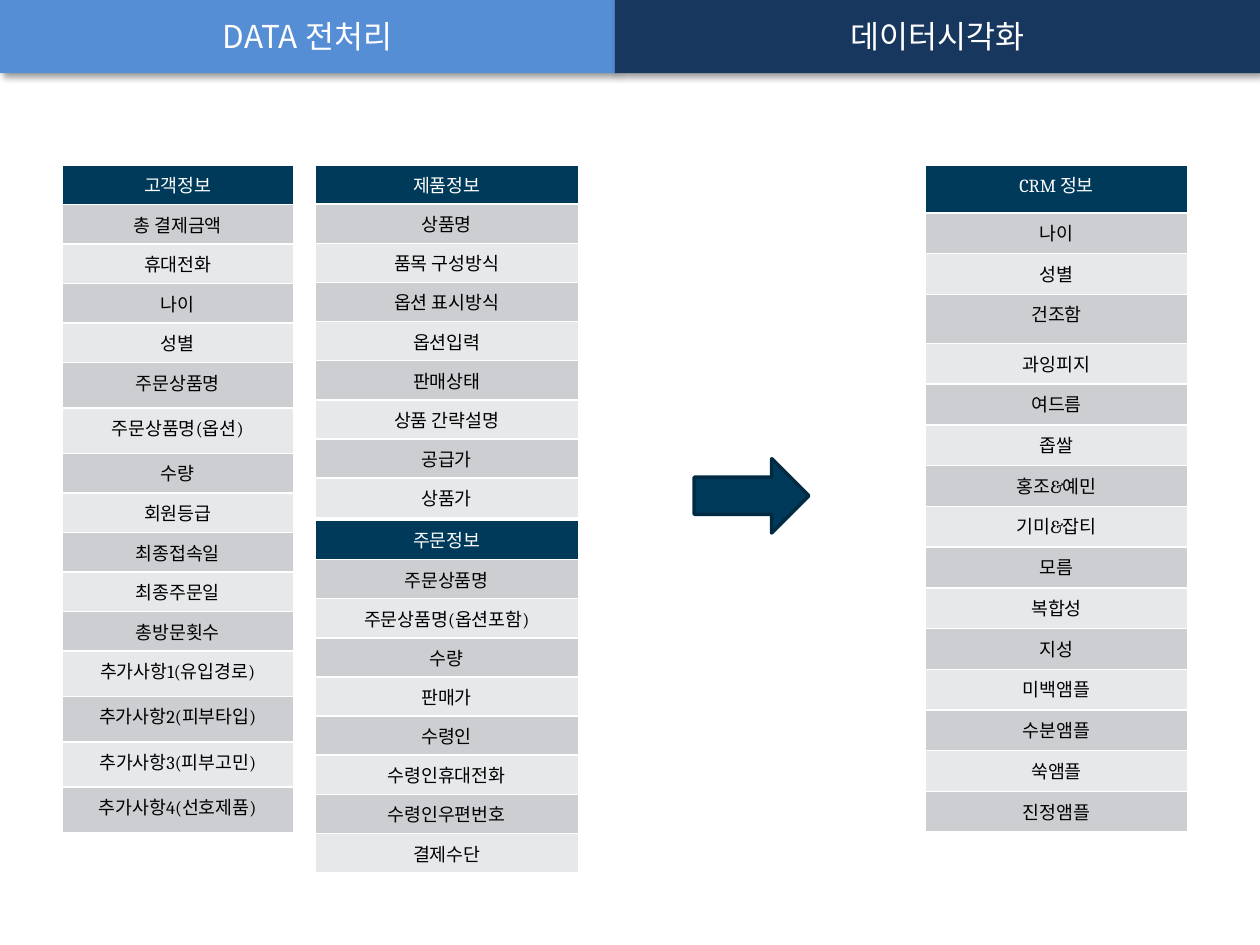
from lxml.etree import SubElement
from pptx import Presentation
from pptx.dml.color import RGBColor
from pptx.enum.shapes import MSO_SHAPE as Shape
from pptx.enum.text import MSO_ANCHOR as Anchor, PP_ALIGN as Align
from pptx.oxml import parse_xml
from pptx.oxml.ns import nsdecls, qn
from pptx.util import Inches, Pt

WHITE = RGBColor(0xFF, 0xFF, 0xFF)
BLACK = RGBColor(0, 0, 0)
BLUE = RGBColor(0x55, 0x8E, 0xD5)
DARK = RGBColor(0x17, 0x37, 0x5E)
NAVY = RGBColor(0x00, 0x3A, 0x5A)
EDGE = RGBColor(0x00, 0x2B, 0x43)
BANDS = [RGBColor(0xCC, 0xCE, 0xD2), RGBColor(0xE7, 0xE8, 0xEA)]
SANS, SERIF = "Noto Sans CJK KR", "Cambria"

# text, left, width, fill
HEADS = [
    ("DATA 전처리", 0, 4.88, BLUE),
    ("데이터시각화", 4.88, 5.12, DARK),
]
CUSTOMER = [
    "고객정보", "총 결제금액", "휴대전화", "나이", "성별", "주문상품명",
    "주문상품명(옵션)", "수량", "회원등급", "최종접속일", "최종주문일",
    "총방문횟수", "추가사항1(유입경로)", "추가사항2(피부타입)",
    "추가사항3(피부고민)", "추가사항4(선호제품)",
]
PRODUCT = [
    "제품정보", "상품명", "품목 구성방식", "옵션 표시방식", "옵션입력",
    "판매상태", "상품 간략설명", "공급가", "상품가",
]
CRM = [
    "CRM 정보", "나이", "성별", "건조함", "과잉피지", "여드름", "좁쌀",
    "홍조&예민", "기미&잡티", "모름", "복합성", "지성", "미백앰플",
    "수분앰플", "쑥앰플", "진정앰플",
]
ORDER = [
    "주문정보", "주문상품명", "주문상품명(옵션포함)", "수량", "판매가",
    "수령인", "수령인휴대전화", "수령인우편번호", "결제수단",
]
# rows, (left, top, width, height), heights of the taller rows
TABLES = [
    (CUSTOMER, (0.49, 1.31, 1.84, 5.3),
     dict.fromkeys((5, 6, 12, 13, 14, 15), 0.36)),
    (PRODUCT, (2.5, 1.31, 2.09, 2.79), {}),
    (CRM, (7.34, 1.31, 2.09, 5.3), {0: 0.38, 3: 0.39}),
    (ORDER, (2.5, 4.13, 2.09, 2.79), {}),
]
SHADOW = f"""<a:effectLst {nsdecls('a')}>
  <a:outerShdw blurRad="50800" dist="38100" dir="2700000" algn="tl" rotWithShape="0">
    <a:srgbClr val="000000"><a:alpha val="40000"/></a:srgbClr>
  </a:outerShdw>
</a:effectLst>"""


def write(frame, text, face, size, color):
    para = frame.paragraphs[0]
    para.alignment = Align.CENTER
    run = para.add_run()
    run.text = text
    for key, value in {"name": face, "size": Pt(size)}.items():
        setattr(run.font, key, value)
    run.font.color.rgb = color
    SubElement(run.font._element, qn("a:ea"), typeface=SANS)


def add_head(slide, text, left, width, fill):
    box = slide.shapes.add_shape(
        Shape.RECTANGLE, Inches(left), Inches(-0.01), Inches(width), Inches(0.59))
    box.fill.solid()
    box.fill.fore_color.rgb = fill
    box.line.fill.background()
    box._element.spPr.append(parse_xml(SHADOW))
    box.text_frame.vertical_anchor = Anchor.MIDDLE
    write(box.text_frame, text, SANS, 18, WHITE)


def add_edges(cell):
    """Put white borders before the cell's fill."""
    props = cell._tc.get_or_add_tcPr()
    for pos, side in enumerate("LRTB"):
        props.insert(pos, parse_xml(
            f'<a:ln{side} {nsdecls("a")} w="{Pt(1)}"><a:solidFill>'
            f'<a:srgbClr val="{WHITE}"/></a:solidFill></a:ln{side}>'))


def add_list(slide, rows, box, tall):
    """Add a one-column table; rows not in tall share the height left over."""
    table = slide.shapes.add_table(len(rows), 1, *map(Inches, box)).table
    rest = (box[3] - sum(tall.values())) / (len(rows) - len(tall))
    for i, text in enumerate(rows):
        table.rows[i].height = Inches(tall.get(i, rest))
        cell = table.cell(i, 0)
        cell.fill.solid()
        cell.fill.fore_color.rgb = BANDS[(i - 1) % 2] if i else NAVY
        add_edges(cell)
        write(cell.text_frame, text, SERIF, 10.5, BLACK if i else WHITE)


def add_arrow(slide):
    arrow = slide.shapes.add_shape(
        Shape.RIGHT_ARROW, Inches(5.51), Inches(3.64), Inches(0.91), Inches(0.59))
    arrow.shadow.inherit = False
    arrow.fill.solid()
    arrow.fill.fore_color.rgb = NAVY
    arrow.line.color.rgb = EDGE
    arrow.line.width = Pt(2)


def main():
    prs = Presentation()
    prs.slide_width, prs.slide_height = Inches(10), Inches(7.5)
    slide = prs.slides.add_slide(prs.slide_layouts[6])
    for head in HEADS:
        add_head(slide, *head)
    for table in TABLES:
        add_list(slide, *table)
    add_arrow(slide)
    prs.save("out.pptx")


if __name__ == "__main__":
    main()
